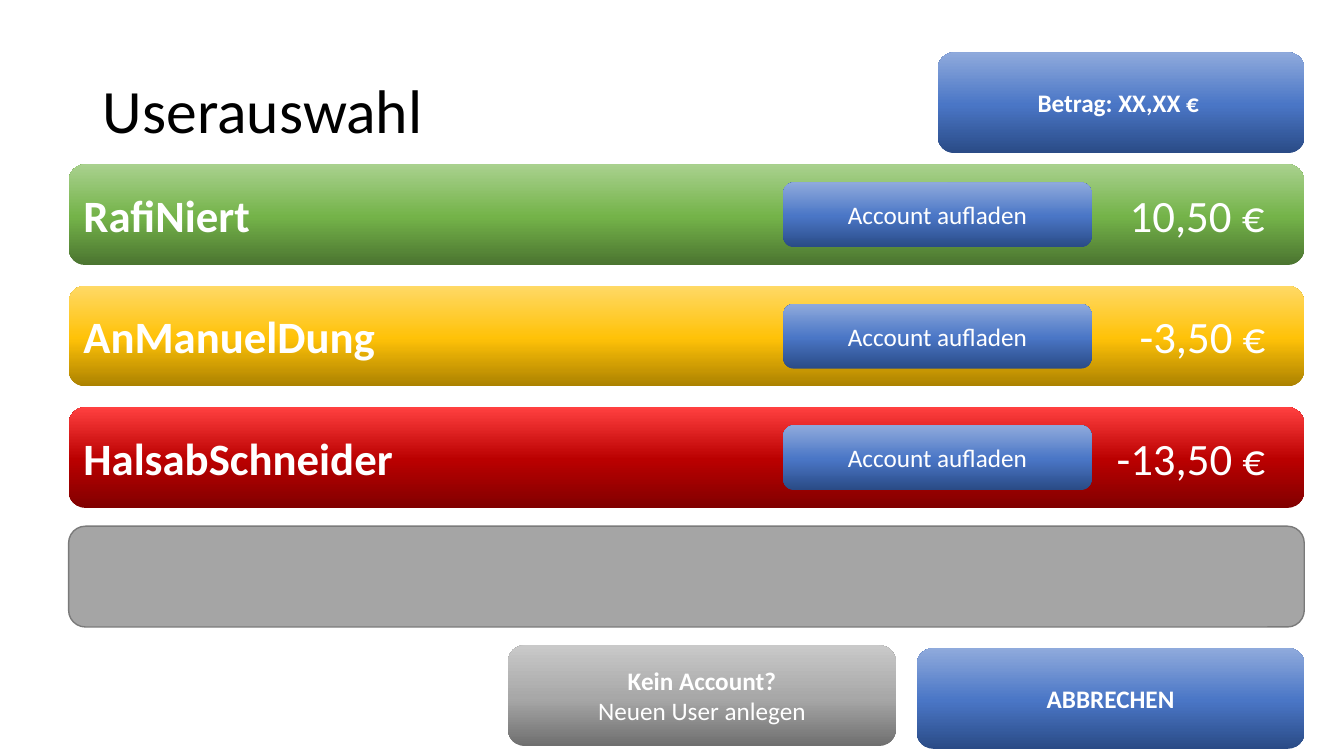
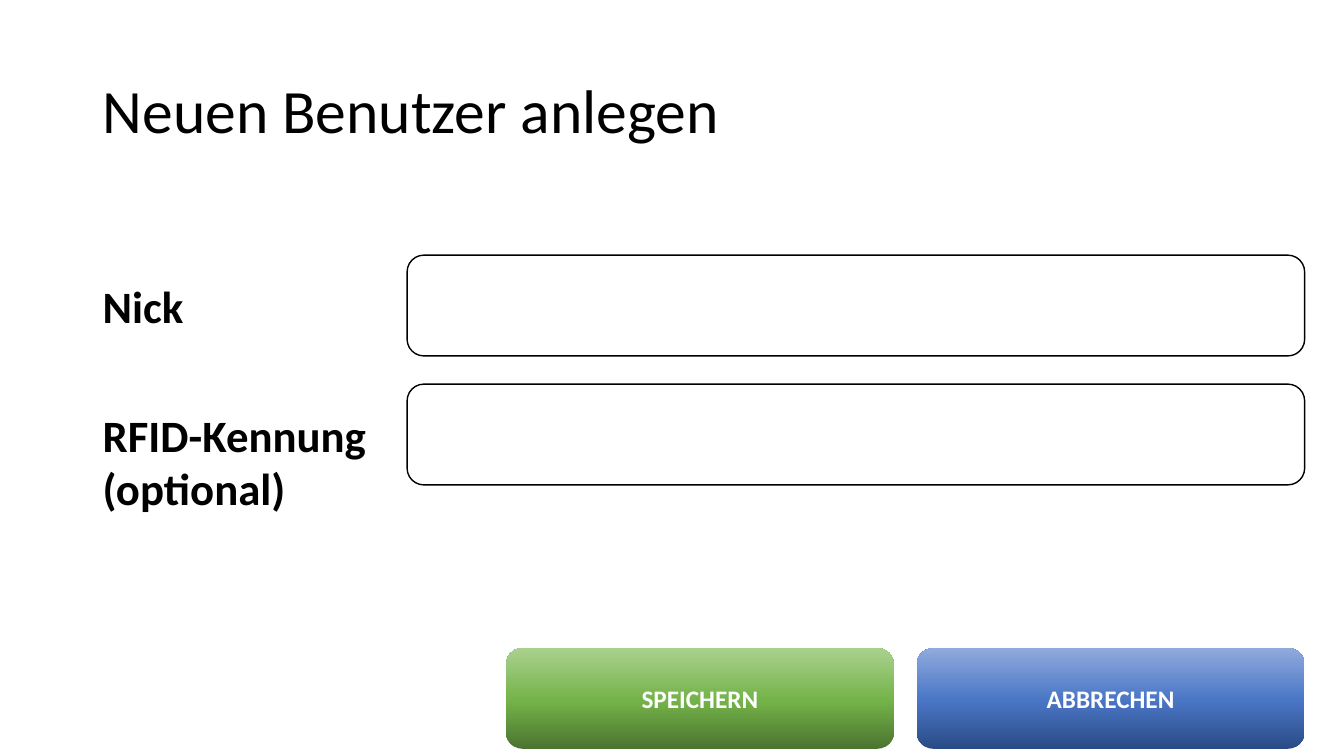
from copy import deepcopy

from pptx import Presentation
from pptx.dml.color import RGBColor
from pptx.enum.shapes import MSO_SHAPE
from pptx.enum.text import MSO_ANCHOR, MSO_AUTO_SIZE, PP_ALIGN
from pptx.oxml.ns import qn
from pptx.util import Cm, Pt

BLACK = RGBColor(0x00, 0x00, 0x00)
WHITE = RGBColor(0xFF, 0xFF, 0xFF)
GREY = RGBColor(0xA5, 0xA5, 0xA5)
GREY_EDGE = RGBColor(0x7A, 0x7A, 0x7A)

# Gradients run from the bottom edge to the top edge.
GREEN_GLOSS = (RGBColor(0x4B, 0x74, 0x30), RGBColor(0x74, 0xB3, 0x49), RGBColor(0xA9, 0xD1, 0x8E))
YELLOW_GLOSS = (RGBColor(0xAB, 0x81, 0x00), RGBColor(0xFF, 0xC2, 0x08), RGBColor(0xFF, 0xD9, 0x66))
RED_GLOSS = (RGBColor(0x81, 0x00, 0x00), RGBColor(0xBA, 0x00, 0x00), RGBColor(0xFF, 0x40, 0x40))
BLUE_GLOSS = (RGBColor(0x2A, 0x4B, 0x86), RGBColor(0x4A, 0x76, 0xC6), RGBColor(0x8F, 0xAA, 0xDC))
GREY_GLOSS = (RGBColor(0x6F, 0x6F, 0x6F), RGBColor(0xA8, 0xA8, 0xA8), RGBColor(0xC9, 0xC9, 0xC9))
GLOSS_POSITIONS = (0, 0.48, 1)

# Lengths in centimetres.
RIGHT_EDGE = 32.88
BAR_LEFT, BAR_WIDTH, BAR_HEIGHT = 1.73, 31.14, 2.54
INNER_OFFSET, INNER_HEIGHT = 0.46, 1.63
TITLE_LEFT = 2.34
BUTTON_WIDTH, BUTTON_TOP = 9.78, 16.33
FIELD_LEFT = 10.26


class Screen:
    """Holds the shared style and the slide being built."""

    font = "Calibri"
    large, small = 32, 18

    def __init__(self):
        """Start a widescreen presentation."""
        self.deck = Presentation()
        self.deck.slide_width, self.deck.slide_height = Cm(33.87), Cm(19.05)
        self.slide = None

    def set_text(self, frame, text, size, color, bold=False, align=PP_ALIGN.LEFT):
        """Put text into a frame and format its runs."""
        frame.text = text
        for paragraph in frame.paragraphs:
            paragraph.alignment = align
            for run in paragraph.runs:
                run.font.name = self.font
                run.font.size = Pt(size)
                run.font.bold = bold
                run.font.color.rgb = color

    def start(self, heading):
        """Add a slide with its title."""
        self.slide = self.deck.slides.add_slide(self.deck.slide_layouts[5])
        title = self.slide.shapes.title
        title.left, title.top = Cm(TITLE_LEFT), Cm(1.02)
        title.width, title.height = Cm(29.21), Cm(3.68)
        frame = title.text_frame
        self.set_text(frame, heading, 44, BLACK)
        frame.vertical_anchor = MSO_ANCHOR.MIDDLE
        frame.auto_size = MSO_AUTO_SIZE.NONE
        frame.paragraphs[0].line_spacing = 0.9

    def box(self, left, top, width, height=BAR_HEIGHT):
        """Add a rounded box without shadow."""
        box = self.slide.shapes.add_shape(
            MSO_SHAPE.ROUNDED_RECTANGLE, Cm(left), Cm(top), Cm(width), Cm(height))
        box.shadow.inherit = False
        box.text_frame.vertical_anchor = MSO_ANCHOR.MIDDLE
        return box

    def flat(self, left, top, width, fill, edge):
        """Add an empty outlined box."""
        box = self.box(left, top, width)
        box.fill.solid()
        box.fill.fore_color.rgb = fill
        box.line.color.rgb = edge
        box.line.width = Pt(1)

    def glossy(self, left, top, width, gloss, height=BAR_HEIGHT):
        """Add a box with a three-colour vertical gradient."""
        box = self.box(left, top, width, height)
        box.line.fill.background()
        box.fill.gradient()
        box.fill.gradient_angle = 90
        stops = box._element.spPr.find(qn("a:gradFill")).find(qn("a:gsLst"))
        stops.append(deepcopy(stops[-1]))
        for stop, position, color in zip(box.fill.gradient_stops, GLOSS_POSITIONS, gloss):
            stop.position = position
            stop.color.rgb = color
        return box

    def button(self, text, left, top, gloss=BLUE_GLOSS, width=BUTTON_WIDTH,
               height=BAR_HEIGHT, bold=True):
        """Add a glossy button with a centred caption."""
        button = self.glossy(left, top, width, gloss, height)
        self.set_text(button.text_frame, text, self.small, WHITE, bold, PP_ALIGN.CENTER)
        return button

    def label(self, text, left, top, width, color, bold=False, height=INNER_HEIGHT):
        """Add large unwrapped text."""
        label = self.slide.shapes.add_textbox(Cm(left), Cm(top), Cm(width), Cm(height))
        label.text_frame.word_wrap = False
        label.text_frame.auto_size = MSO_AUTO_SIZE.SHAPE_TO_FIT_TEXT
        self.set_text(label.text_frame, text, self.large, color, bold)

    def user(self, nick, amount, amount_width, gloss, top):
        """Add a user bar with its top-up button and balance."""
        bar = self.glossy(BAR_LEFT, top, BAR_WIDTH, gloss)
        self.set_text(bar.text_frame, nick, self.large, WHITE, bold=True)
        inner_top = top + INNER_OFFSET
        self.button("Account aufladen", 19.74, inner_top, width=7.77,
                    height=INNER_HEIGHT, bold=False)
        self.label(amount, 32.18 - amount_width, inner_top, amount_width, WHITE)

    def field(self, caption, top, caption_width, caption_height):
        """Add a captioned input field."""
        self.flat(FIELD_LEFT, top, RIGHT_EDGE - FIELD_LEFT, WHITE, BLACK)
        self.label(caption, TITLE_LEFT, top + INNER_OFFSET, caption_width, BLACK,
                   True, caption_height)

    def cancel(self):
        """Add the cancel button in the bottom right corner."""
        self.button("ABBRECHEN", RIGHT_EDGE - BUTTON_WIDTH, BUTTON_TOP)


def user_selection(screen):
    """Build the user selection."""
    screen.start("Userauswahl")
    users = (
        ("RafiNiert", "10,50 €", 3.96, GREEN_GLOSS),
        ("AnManuelDung", "-3,50 €", 3.71, YELLOW_GLOSS),
        ("HalsabSchneider", "-13,50 €", 4.29, RED_GLOSS),
    )
    for row, (nick, amount, amount_width, gloss) in enumerate(users):
        screen.user(nick, amount, amount_width, gloss, 4.14 + row * 3.06)
    screen.flat(BAR_LEFT, 13.26, BAR_WIDTH, GREY, GREY_EDGE)
    screen.cancel()
    screen.button("Betrag: XX,XX € ", 23.63, 1.32, width=9.25)
    new_user = screen.button("Kein Account?\vNeuen User anlegen", 12.8, 16.26, GREY_GLOSS)
    new_user.text_frame.paragraphs[0].runs[1].font.bold = False


def new_user_form(screen):
    """Build the form for a new user."""
    screen.start("Neuen Benutzer anlegen")
    screen.field("Nick", 6.43, 2.57, INNER_HEIGHT)
    screen.field("RFID-Kennung\v(optional)", 9.68, 7.21, 3)
    screen.cancel()
    screen.button("SPEICHERN", 12.75, BUTTON_TOP, GREEN_GLOSS)


screen = Screen()
user_selection(screen)
new_user_form(screen)
screen.deck.save("out.pptx")
